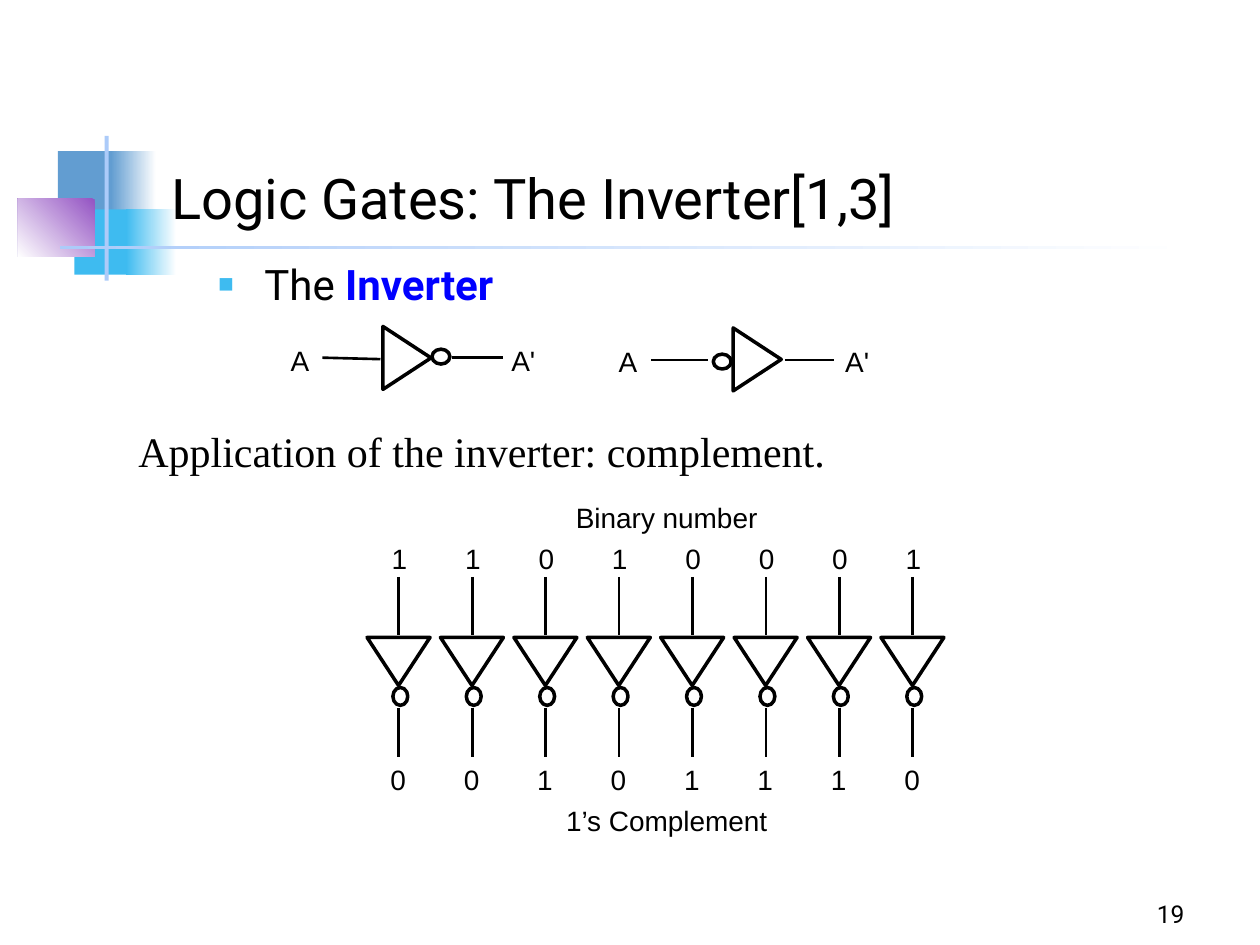
from lxml.etree import SubElement
from pptx import Presentation
from pptx.dml.color import RGBColor
from pptx.enum.shapes import MSO_CONNECTOR as Connector, MSO_SHAPE as Shape
from pptx.enum.text import MSO_ANCHOR as Anchor, PP_ALIGN as Align
from pptx.oxml.ns import qn
from pptx.util import Cm, Pt


def color(hex_value):
    return RGBColor.from_string(hex_value)


class GateSlide:
    """Draws logic gates and text in one style on the current slide."""

    ink = "000000"
    label_font = "Arial"
    label_size = 16
    gate_width = 2
    wire_width = 1.5

    def __init__(self, slide):
        self.slide = slide
        self.shapes = slide.shapes

    def start_group(self):
        self.shapes = self.slide.shapes.add_group_shape().shapes

    def end_group(self):
        self.shapes = self.slide.shapes

    def preset(self, kind, left, top, width, height):
        shape = self.shapes.add_shape(kind, Cm(left), Cm(top), Cm(width), Cm(height))
        shape.shadow.inherit = False
        return shape

    def block(self, box, fill):
        block = self.preset(Shape.RECTANGLE, *box)
        block.line.fill.background()
        block.fill.solid()
        block.fill.fore_color.rgb = color(fill)

    def fade(self, box, start, end, angle=180):
        fade = self.preset(Shape.RECTANGLE, *box)
        fade.line.fill.background()
        fade.fill.gradient()
        fade.fill.gradient_angle = angle
        for stop, hex_value in zip(fade.fill.gradient_stops, (start, end)):
            stop.color.rgb = color(hex_value)

    def outline(self, kind, left, top, width, height, rotation):
        outline = self.preset(kind, left, top, width, height)
        outline.rotation = rotation
        outline.fill.background()
        outline.line.color.rgb = color(self.ink)
        outline.line.width = Pt(self.gate_width)

    def triangle(self, left, top, rotation=0):
        self.outline(Shape.FLOWCHART_MERGE, left, top, 1.27, 0.97, rotation)

    def bubble(self, left, top, rotation=0):
        self.outline(Shape.OVAL, left, top, 0.36, 0.3, rotation)

    def wire(self, x1, y1, x2, y2):
        wire = self.shapes.add_connector(
            Connector.STRAIGHT, Cm(x1), Cm(y1), Cm(x2), Cm(y2))
        wire.line.color.rgb = color(self.ink)
        wire.line.width = Pt(self.wire_width)
        SubElement(wire._element.spPr, qn("a:effectLst"))

    def text(self, box, runs, font, size, align=Align.LEFT, anchor=Anchor.TOP, bullet=None):
        frame = self.shapes.add_textbox(*map(Cm, box)).text_frame
        frame.word_wrap = True
        frame.vertical_anchor = anchor
        paragraph = frame.paragraphs[0]
        paragraph.alignment = align
        if bullet:
            self.bullet(paragraph, bullet)
        for words, hex_value, bold in runs:
            run = paragraph.add_run()
            run.text = words
            run.font.name = font
            run.font.size = Pt(size)
            run.font.bold = bold
            run.font.color.rgb = color(hex_value)

    def bullet(self, paragraph, hex_value):
        properties = paragraph._p.get_or_add_pPr()
        properties.set("marL", str(Cm(1.27)))
        properties.set("indent", str(Cm(-0.95)))
        bullet_color = SubElement(properties, qn("a:buClr"))
        SubElement(bullet_color, qn("a:srgbClr"), val=hex_value)
        SubElement(properties, qn("a:buSzPct"), val="120000")
        SubElement(properties, qn("a:buFont"), typeface=self.label_font)
        SubElement(properties, qn("a:buChar"), char="▪")

    def label(self, words, left, top, width=0.84, align=Align.LEFT):
        self.text((left, top, width, 0.94), [(words, self.ink, False)],
                  self.label_font, self.label_size, align)

    def complement_column(self, center, bit):
        self.label(str(bit), center - 0.42, 10.8, align=Align.RIGHT)
        self.label(str(1 - bit), center - 0.42, 15.24)
        self.triangle(center - 0.64, 12.85)
        self.bubble(center - 0.15, 13.89, 90)
        self.wire(center, 11.63, center, 12.8)
        self.wire(center, 14.27, center, 15.27)


def main():
    deck = Presentation()
    deck.slide_width, deck.slide_height = Cm(25.4), Cm(19.05)
    page = GateSlide(deck.slides.add_slide(deck.slide_layouts[6]))
    black, white = "000000", "FFFFFF"
    steel, sky, purple, pale = "629DD1", "3EBBF0", "9454C3", "ACCBF9"

    page.block((1.17, 3.05, 1.22, 1.32), steel)
    page.fade((2.24, 3.05, 0.91, 1.32), white, steel)
    page.block((1.5, 4.22, 1.17, 1.32), sky)
    page.fade((2.54, 4.22, 1.02, 1.32), white, sky)
    page.fade((0.36, 4.01, 1.55, 1.17), purple, white, 225)
    page.block((2.11, 2.74, 0.08, 2.92), pale)
    page.fade((1.22, 4.95, 22.86, 0.08), white, pale)

    page.text((3.2, 2.67, 21.59, 2.11), [("Logic Gates: The Inverter[1,3]", black, False)],
              "Roboto", 32, anchor=Anchor.BOTTOM)
    page.text((3.81, 5.08, 19.91, 1.32),
              [("The ", black, False), ("Inverter", "0000FF", True)],
              "Roboto", 24, bullet=sky)

    page.start_group()
    page.triangle(7.57, 6.73, 270)
    page.bubble(8.71, 7.04)
    page.wire(6.5, 7.21, 7.67, 7.24)
    page.label("A", 5.61, 6.81, align=Align.RIGHT)
    page.label("A'", 10.06, 6.81, 1.07)
    page.wire(9.12, 7.21, 10.13, 7.21)

    page.start_group()
    page.triangle(14.63, 6.76, 270)
    page.bubble(14.38, 7.14)
    page.wire(13.13, 7.26, 14.27, 7.26)
    page.label("A", 12.22, 6.83, align=Align.RIGHT)
    page.label("A'", 16.79, 6.83, 1.07)
    page.wire(15.82, 7.26, 16.81, 7.26)
    page.end_group()

    page.text((2.54, 8.46, 21.08, 1.27),
              [("Application of the inverter: complement.", black, False)],
              "Times New Roman", 24)

    page.start_group()
    for column, bit in enumerate((1, 1, 0, 1, 0, 0, 0, 1)):
        page.complement_column(8.04 + 1.48 * column, bit)
    page.label("Binary number", 10.8, 9.96, 5.28, Align.CENTER)
    page.label("1’s Complement", 10.8, 16.08, 5.28, Align.CENTER)
    page.end_group()

    page.text((18.85, 17.58, 5.28, 1.27), [("19", black, False)],
              "Roboto", 14, Align.RIGHT, Anchor.BOTTOM)
    deck.save("out.pptx")


if __name__ == "__main__":
    main()
